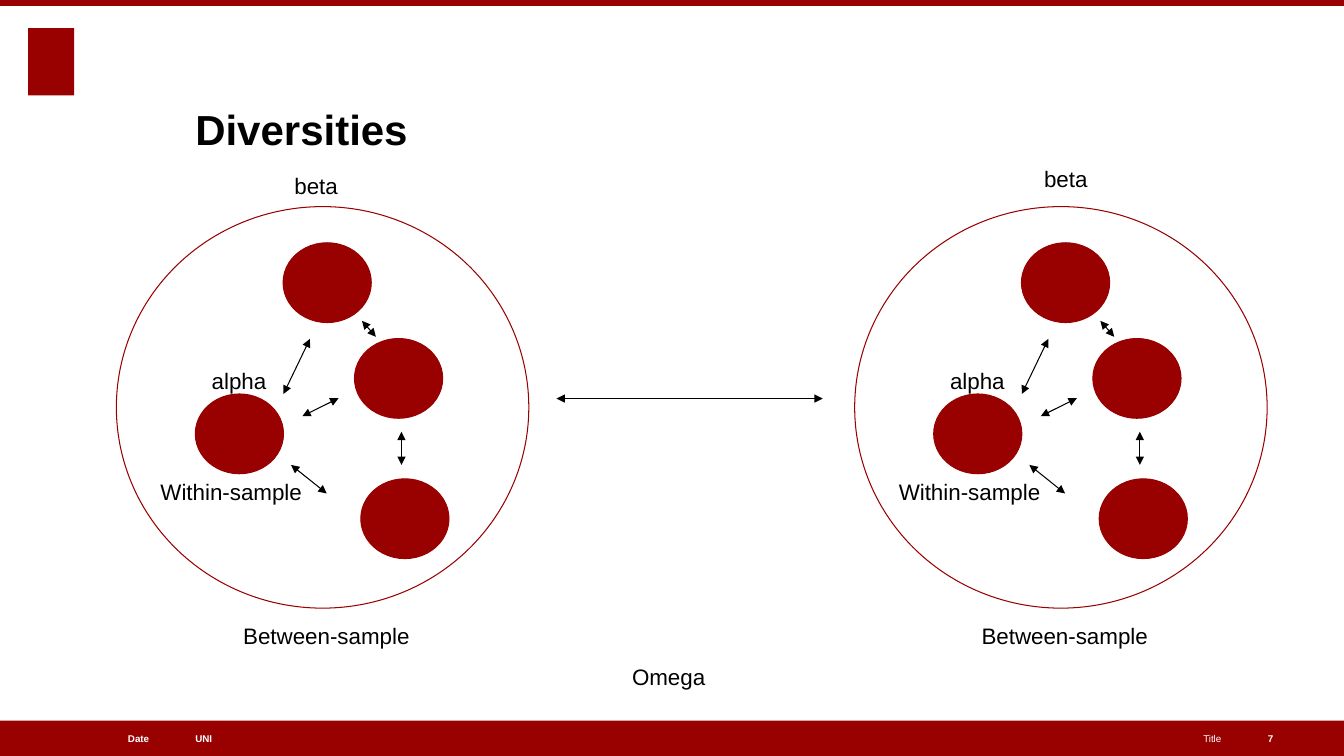
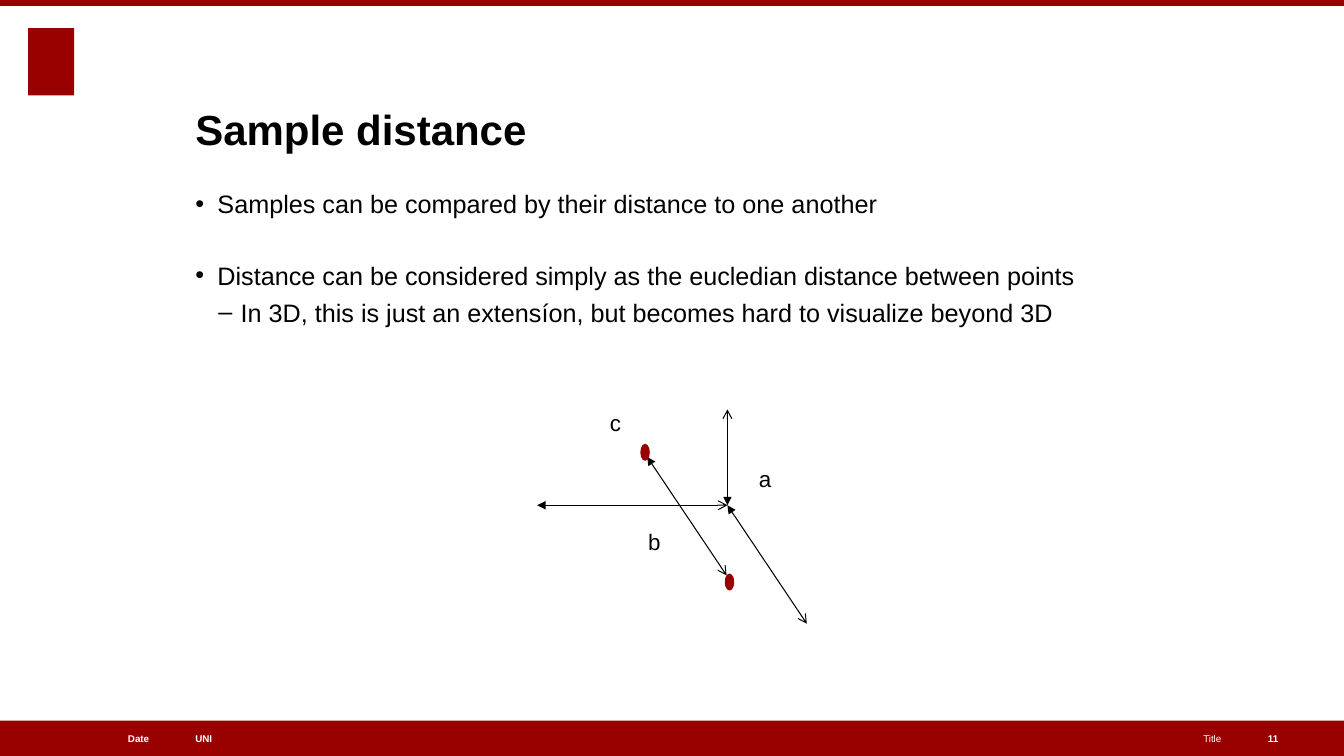
"""Build two slides on sample diversities and sample distance."""
from dataclasses import dataclass
from typing import NamedTuple

from lxml import etree
from pptx import Presentation
from pptx.dml.color import RGBColor
from pptx.enum import shapes, text
from pptx.oxml import ns
from pptx.util import Emu, Inches, Pt

COLUMNS, ROWS = 160, 90
CELL = Inches(1) / 12


@dataclass(frozen=True)
class Theme:
    red: RGBColor = RGBColor(0x99, 0x00, 0x00)
    black: RGBColor = RGBColor(0, 0, 0)
    white: RGBColor = RGBColor(0xFF, 0xFF, 0xFF)
    font: str = "Arial"
    title_size: int = 30
    body_size: int = 18
    label_size: int = 16
    footer_size: int = 7
    line_width: float = 0.75


THEME = Theme()


class Box(NamedTuple):
    col: float
    row: float
    cols: float
    rows: float

    def shifted(self, cols: float) -> "Box":
        return self._replace(col=self.col + cols)

    def emu(self) -> list[Emu]:
        return [cells(length) for length in self]


class Label(NamedTuple):
    words: str
    box: Box


class Arrow(NamedTuple):
    start: tuple[float, float]
    end: tuple[float, float]
    tail: str = "triangle"

    def shifted(self, cols: float) -> "Arrow":
        return self._replace(start=(self.start[0] + cols, self.start[1]),
                             end=(self.end[0] + cols, self.end[1]))


class Bullet(NamedTuple):
    words: str
    level: int
    mark: str
    margin: float
    gap: float


class FooterItem(NamedTuple):
    words: str
    col: float
    cols: float
    align: text.PP_ALIGN
    bold: bool = True


LEFT, WIDTH = 23.25, 122.15
TITLE = Box(LEFT, 5.65, WIDTH, 12.7)
BODY = Box(LEFT, 22.45, WIDTH, 59.6)
TOP_BAND = Box(0, 0, COLUMNS, 0.7)
FOOTER_BAND = Box(0, 85.8, COLUMNS, 4.2)
EMBLEM = Box(3.35, 3.35, 5.5, 8)
FOOTER = [
    FooterItem("UNI", LEFT, 44.65, text.PP_ALIGN.LEFT),
    FooterItem("Date", 3.25, 14.5, text.PP_ALIGN.RIGHT),
    FooterItem("Title", 73.3, 72.1, text.PP_ALIGN.RIGHT, False),
]

LABEL_ROWS = 3.2
HABITAT_STEP = 87.9
HABITAT = Box(13.85, 24.6, 49.1, 47.8)
SAMPLES = [Box(col, row, 10.5, 9.5) for col, row in
           ((LEFT, 46.9), (42.2, 40.3), (33.7, 28.9), (42.95, 57))]
HABITAT_LABELS = [
    Label("alpha", Box(25.2, 43.7, 7.5, LABEL_ROWS)),
    Label("Within-sample", Box(19.1, 56.9, 17.9, LABEL_ROWS)),
    Label("Between-sample", Box(28.95, 74.05, 21.7, LABEL_ROWS)),
]
SAMPLE_ARROWS = [
    Arrow((33.75, 46.9), (36.9, 40.35)),
    Arrow((36, 49.55), (40.3, 47.4)),
    Arrow((34.65, 55.35), (38.9, 58.75)),
    Arrow((44.75, 40.1), (43.1, 38.2)),
    Arrow((47.8, 55.35), (47.8, 51.4)),
]
DIVERSITY_LABELS = [
    Label("beta", Box(35.05, 20.5, 7.5, LABEL_ROWS)),
    Label("beta", Box(124.3, 19.7, 7.5, LABEL_ROWS)),
    Label("Omega", Box(75.25, 79, 16.1, LABEL_ROWS)),
]
OMEGA_ARROW = Arrow((66.25, 47.45), (97.95, 47.45))

BULLETS = [
    Bullet("Samples can be compared by their distance to one another", 0, "•", 0.22, 0),
    Bullet("Distance can be considered simply as the eucledian distance between points",
           0, "•", 0.22, 29.3),
    Bullet("In 3D, this is just an extensíon, but becomes hard to visualize beyond 3D",
           1, "–", 0.45, 5),
]
ORIGIN = (86.6, 60.15)
DISTANCE_ARROWS = [
    Arrow((63.95, ORIGIN[1]), ORIGIN, "arrow"),
    Arrow(ORIGIN, (96.05, 74.25), "arrow"),
    Arrow(ORIGIN, (ORIGIN[0], 48.75), "arrow"),
    Arrow((77.05, 54.4), (86.5, 68.5), "arrow"),
]
POINTS = [Box(86.35, 68.35, 1, 1.9), Box(76.3, 52.9, 1, 1.9)]
DISTANCE_LABELS = [Label(words, Box(col, row, 3, LABEL_ROWS)) for words, col, row in
                   (("a", 90.35, 55.4), ("b", 77.15, 62.9), ("c", 72.6, 48.7))]


def cells(length: float) -> Emu:
    """Turn a count of grid cells into a length."""
    return Emu(round(length * CELL))


def style_font(font, size: float, color: RGBColor, bold: bool = False) -> None:
    """Give a font the theme's face with a size, colour and weight."""
    font.name, font.size, font.bold = THEME.font, Pt(size), bold
    font.color.rgb = color


def prepare_frame(frame, anchor: text.MSO_ANCHOR) -> None:
    """Clear the insets of a text frame and fix its wrapping and anchor."""
    frame.margin_left = frame.margin_right = frame.margin_top = frame.margin_bottom = 0
    frame.word_wrap = True
    frame.auto_size = text.MSO_AUTO_SIZE.NONE
    frame.vertical_anchor = anchor


def place(placeholder, box: Box) -> None:
    """Move a placeholder to a box on the grid."""
    placeholder.left, placeholder.top, placeholder.width, placeholder.height = box.emu()


def write(slide, label: Label, size: float = THEME.label_size,
          color: RGBColor = THEME.black, bold: bool = False,
          align: text.PP_ALIGN = text.PP_ALIGN.LEFT,
          anchor: text.MSO_ANCHOR = text.MSO_ANCHOR.TOP) -> None:
    """Add one line of text in its own box."""
    frame = slide.shapes.add_textbox(*label.box.emu()).text_frame
    prepare_frame(frame, anchor)
    frame.text = label.words
    paragraph = frame.paragraphs[0]
    paragraph.alignment = align
    style_font(paragraph.runs[0].font, size, color, bold)


def draw_band(slide, box: Box) -> None:
    """Draw a red rectangle without outline."""
    band = slide.shapes.add_shape(shapes.MSO_SHAPE.RECTANGLE, *box.emu())
    band.shadow.inherit = False
    band.fill.solid()
    band.fill.fore_color.rgb = THEME.red
    band.line.fill.background()


def draw_ellipse(slide, box: Box, filled: bool = True) -> None:
    """Draw a red ellipse, either filled or as an outline."""
    ellipse = slide.shapes.add_shape(shapes.MSO_SHAPE.OVAL, *box.emu())
    ellipse.shadow.inherit = False
    if filled:
        ellipse.fill.solid()
        ellipse.fill.fore_color.rgb = THEME.red
    else:
        ellipse.fill.background()
    ellipse.line.color.rgb = THEME.red
    ellipse.line.width = Pt(THEME.line_width)


def draw_arrow(slide, arrow: Arrow) -> None:
    """Draw a thin black line with a head at both ends."""
    ends = [cells(length) for length in (*arrow.start, *arrow.end)]
    connector = slide.shapes.add_connector(shapes.MSO_CONNECTOR.STRAIGHT, *ends)
    connector.line.color.rgb = THEME.black
    connector.line.width = Pt(THEME.line_width)
    properties = connector.element.spPr
    outline = properties.find(ns.qn("a:ln"))
    for tag, kind in (("a:headEnd", "triangle"), ("a:tailEnd", arrow.tail)):
        etree.SubElement(outline, ns.qn(tag), type=kind)
    etree.SubElement(properties, ns.qn("a:effectLst"))


def add_slide(deck, layout: int, title: str, number: int):
    """Add a slide with the shared bands, emblem, title and footer."""
    slide = deck.slides.add_slide(deck.slide_layouts[layout])
    for box in (EMBLEM, FOOTER_BAND, TOP_BAND):
        draw_band(slide, box)
    page = FooterItem(str(number), 150.95, 5.65, text.PP_ALIGN.LEFT)
    for item in (*FOOTER, page):
        box = FOOTER_BAND._replace(col=item.col, cols=item.cols)
        write(slide, Label(item.words, box), THEME.footer_size, THEME.white,
              item.bold, item.align, text.MSO_ANCHOR.MIDDLE)
    heading = slide.shapes.title
    place(heading, TITLE)
    prepare_frame(heading.text_frame, text.MSO_ANCHOR.BOTTOM)
    heading.text_frame.text = title
    paragraph = heading.text_frame.paragraphs[0]
    paragraph.alignment = text.PP_ALIGN.LEFT
    style_font(paragraph.runs[0].font, THEME.title_size, THEME.black, True)
    return slide


def fill_body(body, bullets: list[Bullet]) -> None:
    """Write a bulleted list into the body placeholder."""
    place(body, BODY)
    frame = body.text_frame
    prepare_frame(frame, text.MSO_ANCHOR.TOP)
    frame.text = "\n".join(bullet.words for bullet in bullets)
    for paragraph, bullet in zip(frame.paragraphs, bullets):
        paragraph.level = bullet.level
        paragraph.space_before = Pt(bullet.gap)
        style_font(paragraph.runs[0].font, THEME.body_size, THEME.black)
        properties = paragraph._p.get_or_add_pPr()
        properties.set("marL", str(Inches(bullet.margin)))
        properties.set("indent", str(-Inches(0.22)))
        etree.SubElement(properties, ns.qn("a:buChar"), char=bullet.mark)


def draw_habitat(slide, shift: float) -> None:
    """Draw one circle of samples with its arrows and labels."""
    for sample in SAMPLES:
        draw_ellipse(slide, sample.shifted(shift))
    draw_ellipse(slide, HABITAT.shifted(shift), filled=False)
    for label in HABITAT_LABELS:
        write(slide, Label(label.words, label.box.shifted(shift)))
    for arrow in SAMPLE_ARROWS:
        draw_arrow(slide, arrow.shifted(shift))


def build_diversities(deck) -> None:
    """Build the slide on alpha, beta and omega diversity."""
    slide = add_slide(deck, 5, "Diversities", 7)
    for shift in (0, HABITAT_STEP):
        draw_habitat(slide, shift)
    for label in DIVERSITY_LABELS:
        write(slide, label)
    draw_arrow(slide, OMEGA_ARROW)


def build_distance(deck) -> None:
    """Build the slide on the distance between samples."""
    slide = add_slide(deck, 1, "Sample distance", 11)
    fill_body(slide.placeholders[1], BULLETS)
    for arrow in DISTANCE_ARROWS:
        draw_arrow(slide, arrow)
    for label in DISTANCE_LABELS:
        write(slide, label)
    for point in POINTS:
        draw_ellipse(slide, point)


def main() -> None:
    """Build and save the presentation."""
    deck = Presentation()
    deck.slide_width, deck.slide_height = cells(COLUMNS), cells(ROWS)
    build_diversities(deck)
    build_distance(deck)
    deck.save("out.pptx")


if __name__ == "__main__":
    main()
